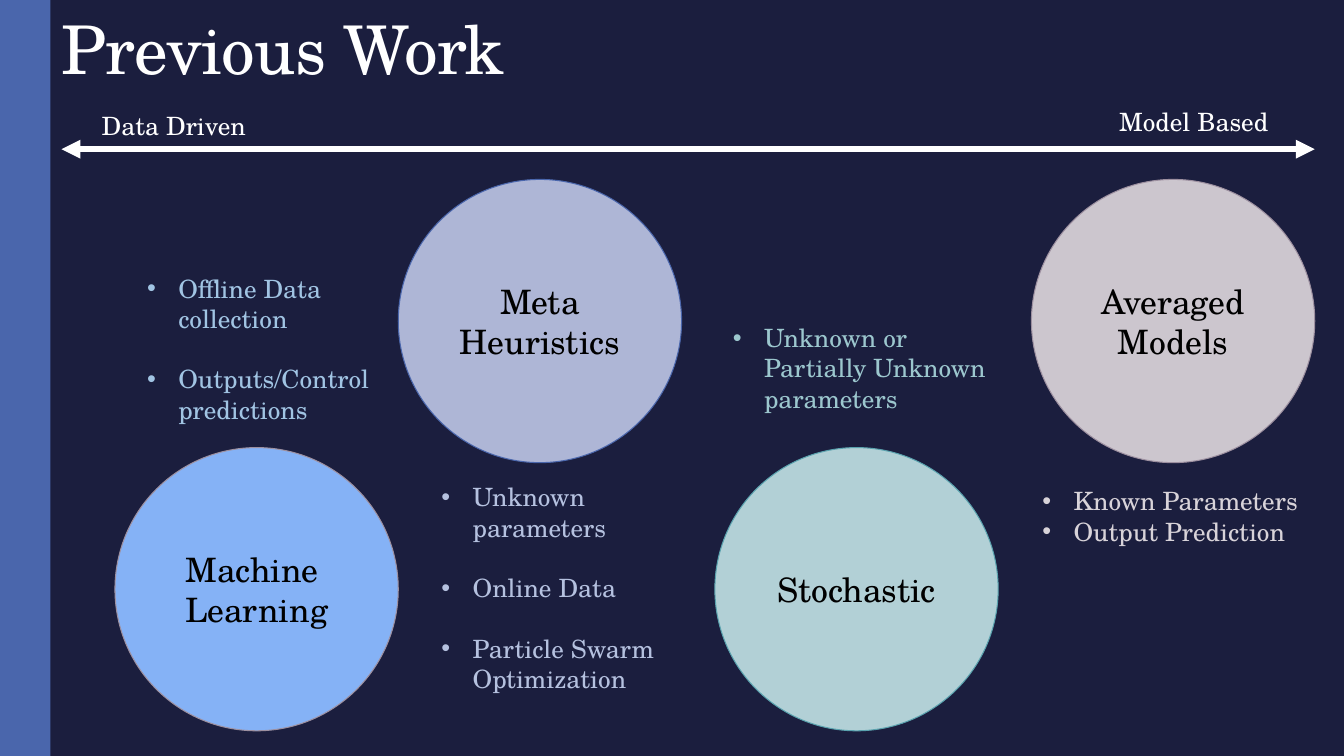
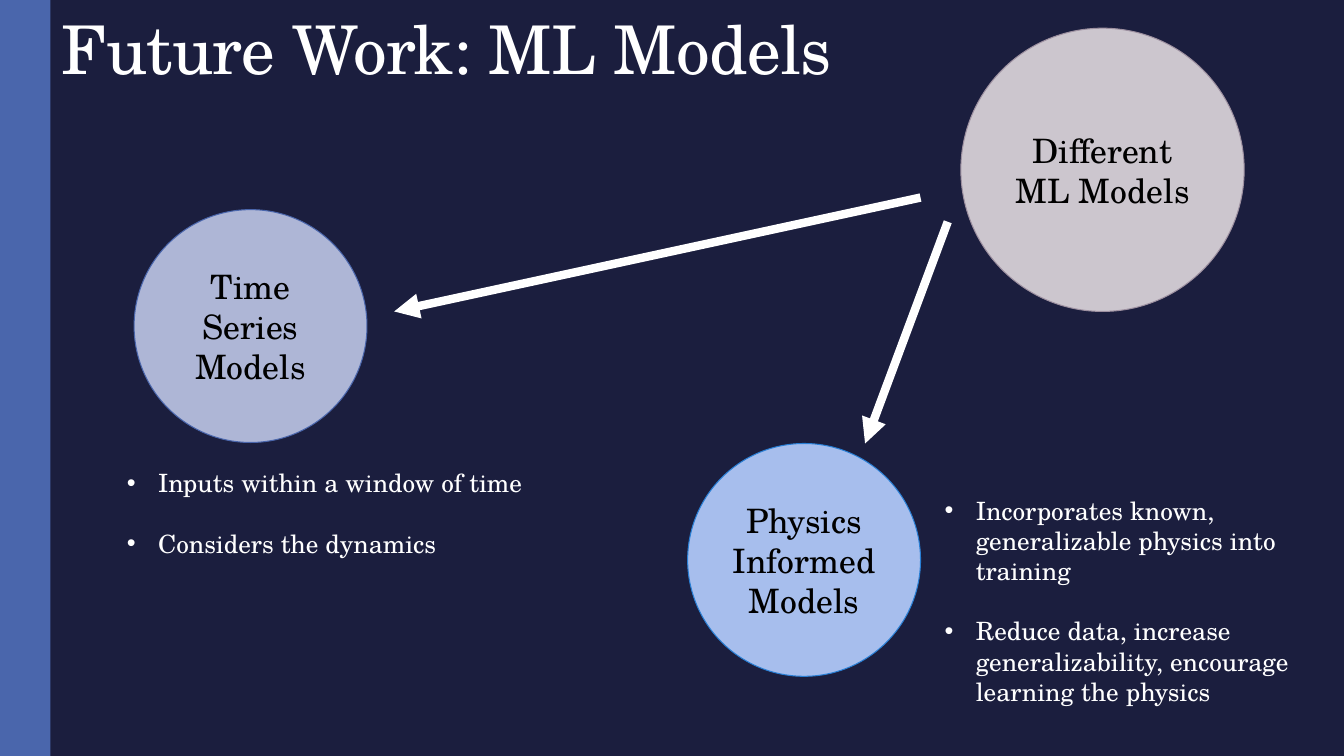
from lxml import etree
from pptx import Presentation
from pptx.dml.color import RGBColor
from pptx.enum.shapes import MSO_CONNECTOR, MSO_SHAPE
from pptx.enum.text import MSO_ANCHOR, MSO_AUTO_SIZE, PP_ALIGN
from pptx.oxml.ns import qn
from pptx.util import Inches, Pt

OVAL, RECT = MSO_SHAPE.OVAL, MSO_SHAPE.RECTANGLE
LINE = MSO_CONNECTOR.STRAIGHT
LEFT, CENTER = PP_ALIGN.LEFT, PP_ALIGN.CENTER
MIDDLE, BOTTOM = MSO_ANCHOR.MIDDLE, MSO_ANCHOR.BOTTOM
NO_FIT = MSO_AUTO_SIZE.NONE

FONT = "TeX Gyre Schola"
WIDTH, HEIGHT = 13.33, 7.5
NAVY, BLUE, WHITE, BLACK = "1B1E3E", "4A66AC", "FFFFFF", "000000"
MAUVE, GRAY, LILAC = "9D90A0", "CCC6CE", "AEB6D6"
BIG, SMALL = 2.81, 2.31
LINE_GAP = 21.6


def color(code):
    return RGBColor.from_string(code)


def inches(*sizes):
    return [Inches(size) for size in sizes]


def paint(shape, fill, edge=None):
    shape.shadow.inherit = False
    shape.fill.solid()
    shape.fill.fore_color.rgb = color(fill)
    if edge:
        shape.line.color.rgb = color(edge)
        shape.line.width = Pt(0.75)
    else:
        shape.line.fill.background()


def add_bullet(para):
    props = para._p.get_or_add_pPr()
    props.set("marL", str(Inches(0.31)))
    props.set("indent", str(-Inches(0.31)))
    etree.SubElement(props, qn("a:buFont")).set("typeface", "Arial")
    etree.SubElement(props, qn("a:buChar")).set("char", "•")


def write(frame, *lines, size=18, ink=WHITE, align=LEFT, bullet=False,
          gap=0, pitch=None, track=None):
    """Fill a text frame, one paragraph a line."""
    frame.word_wrap = True
    for index, line in enumerate(lines):
        para = frame.paragraphs[0] if index == 0 else frame.add_paragraph()
        if bullet:
            add_bullet(para)
        para.alignment = align
        para.space_before = Pt(gap if index else 0)
        if pitch:
            para.line_spacing = pitch
        para.text = line
        for run in para.runs:
            font = run.font
            font.name, font.size = FONT, Pt(size)
            font.color.rgb = color(ink)
            if track:
                font._element.set("spc", str(track))


def add_text(slide, box, *lines, **style):
    write(slide.shapes.add_textbox(*inches(*box)).text_frame, *lines, **style)


def add_list(slide, box, *lines, ink=WHITE, gap=LINE_GAP):
    add_text(slide, box, *lines, ink=ink, gap=gap, bullet=True)


def add_circle(slide, left, top, size, text, fill, edge):
    circle = slide.shapes.add_shape(OVAL, *inches(left, top, size, size))
    paint(circle, fill, edge)
    circle.text_frame.vertical_anchor = MIDDLE
    write(circle.text_frame, text, size=24, ink=BLACK, align=CENTER)


def add_arrow(slide, start, end, width, both=False):
    arrow = slide.shapes.add_connector(LINE, *inches(*start, *end))
    arrow.line.color.rgb = color(WHITE)
    arrow.line.width = Pt(width)
    stroke = arrow.line._get_or_add_ln()
    for tag in ("a:headEnd", "a:tailEnd") if both else ("a:tailEnd",):
        etree.SubElement(stroke, qn(tag)).set("type", "triangle")
    etree.SubElement(arrow._element.spPr, qn("a:effectLst"))


def set_layout(deck):
    """Give the title layout its background, side band and title place."""
    layout = deck.slide_layouts[5]
    layout.background.fill.solid()
    layout.background.fill.fore_color.rgb = color(NAVY)
    title = layout.placeholders[0]
    title.left, title.top, title.width, title.height = inches(0.51, 0, 10.3, 0.93)
    return layout


def move_band(slide, layout):
    """Draw the band on a slide, then hand it to the layout."""
    band = slide.shapes.add_shape(RECT, *inches(0, 0, 0.5, HEIGHT))
    paint(band, BLUE)
    layout.shapes._spTree.insert(2, band._element)


def add_slide(deck, layout, text):
    slide = deck.slides.add_slide(layout)
    frame = slide.shapes.title.text_frame
    frame.auto_size = NO_FIT
    frame.vertical_anchor = BOTTOM
    write(frame, text, size=48, pitch=0.85, track=-50)
    return slide


def fill_past(slide):
    high, low = 1.78, 4.44
    for left, top, text, fill, edge in (
        (10.23, high, "Averaged Models", GRAY, MAUVE),
        (7.09, low, "Stochastic", "B2D0D6", "5AA2AE"),
        (3.95, high, "Meta Heuristics", LILAC, BLUE),
        (1.14, low, "Machine \vLearning", "85B2F6", MAUVE),
    ):
        add_circle(slide, left, top, BIG, text, fill, edge)
    add_list(slide, (10.24, 4.77, 2.8, 0.71),
             "Known Parameters", "Output Prediction", ink="D8D3D9", gap=0)
    add_list(slide, (7.17, 3.15, 2.8, 1.01),
             "Unknown or Partially Unknown parameters", ink="9CC7CE")
    add_list(slide, (4.28, 4.73, 2.8, 2.22), "Unknown parameters",
             "Online Data", "Particle Swarm Optimization", ink="B5C1DF")
    add_list(slide, (1.36, 2.66, 2.68, 2.22), "Offline Data collection",
             "Outputs/Control predictions", ink="A1C4E3")
    add_arrow(slide, (0.61, 1.48), (13.04, 1.48), 4.5, both=True)
    add_text(slide, (0.91, 1.05, 2.19, 0.4), "Data Driven")
    add_text(slide, (11, 1.01, 2.19, 0.4), "Model Based")


def fill_future(slide):
    add_circle(slide, 9.53, 0.28, BIG, "Different ML Models", GRAY, MAUVE)
    add_circle(slide, 1.33, 2.08, SMALL, "Time Series Models", LILAC, BLUE)
    add_circle(slide, 6.82, 4.4, SMALL, "Physics Informed Models",
               "A7BEED", "297FD5")
    add_arrow(slide, (9.13, 1.96), (3.91, 3.09), 6)
    add_arrow(slide, (9.4, 2.2), (8.58, 4.4), 6)
    add_list(slide, (1.16, 4.59, 4.42, 1.01),
             "Inputs within a window of time", "Considers the dynamics")
    add_list(slide, (9.27, 4.86, 3.83, 2.22),
             "Incorporates known, generalizable physics into training",
             "Reduce data, increase generalizability, encourage learning the physics")


def main():
    deck = Presentation()
    deck.slide_width, deck.slide_height = inches(WIDTH, HEIGHT)
    layout = set_layout(deck)
    past = add_slide(deck, layout, "Previous Work")
    move_band(past, layout)
    fill_past(past)
    fill_future(add_slide(deck, layout, "Future Work: ML Models"))
    deck.save("out.pptx")


if __name__ == "__main__":
    main()
